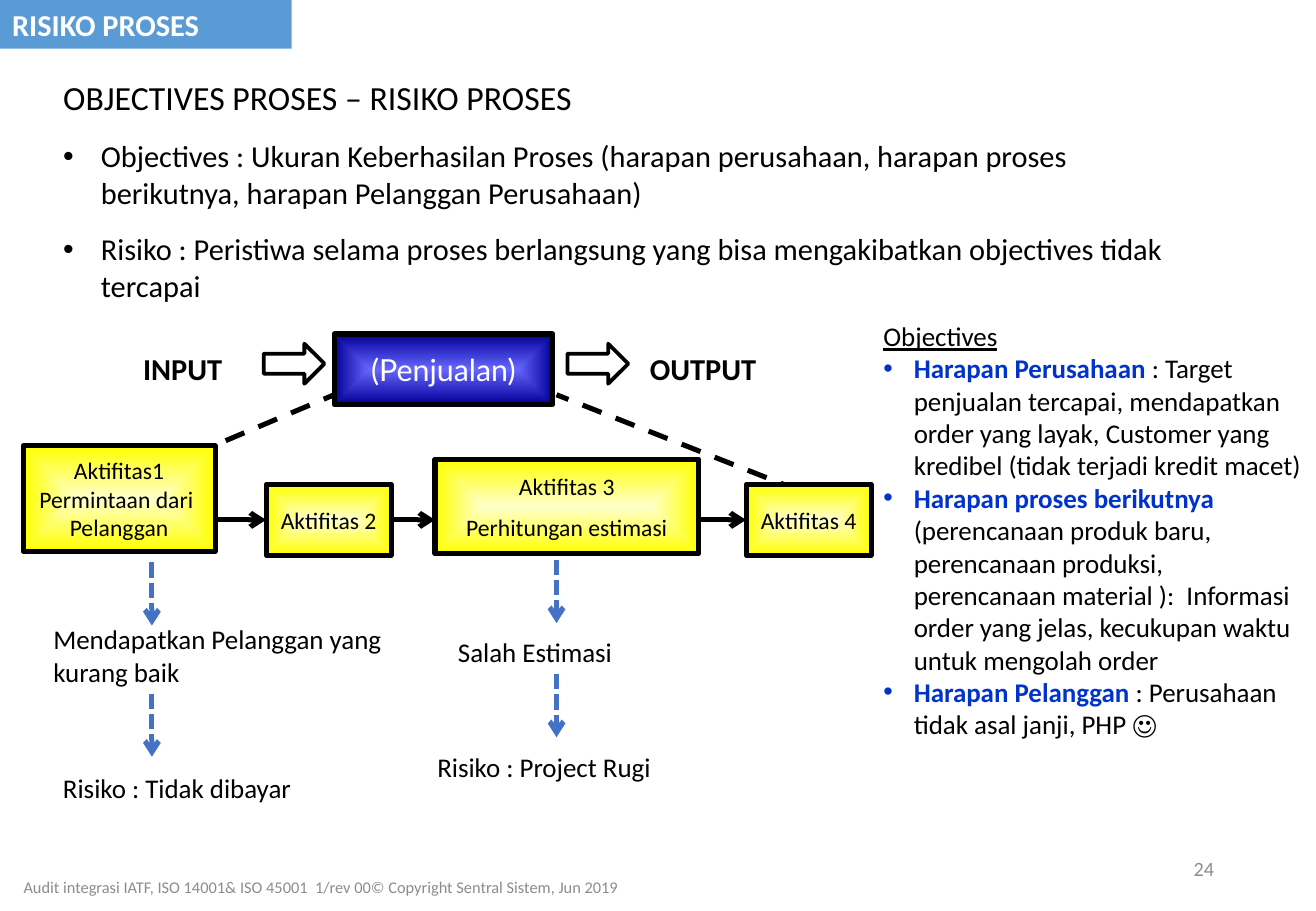
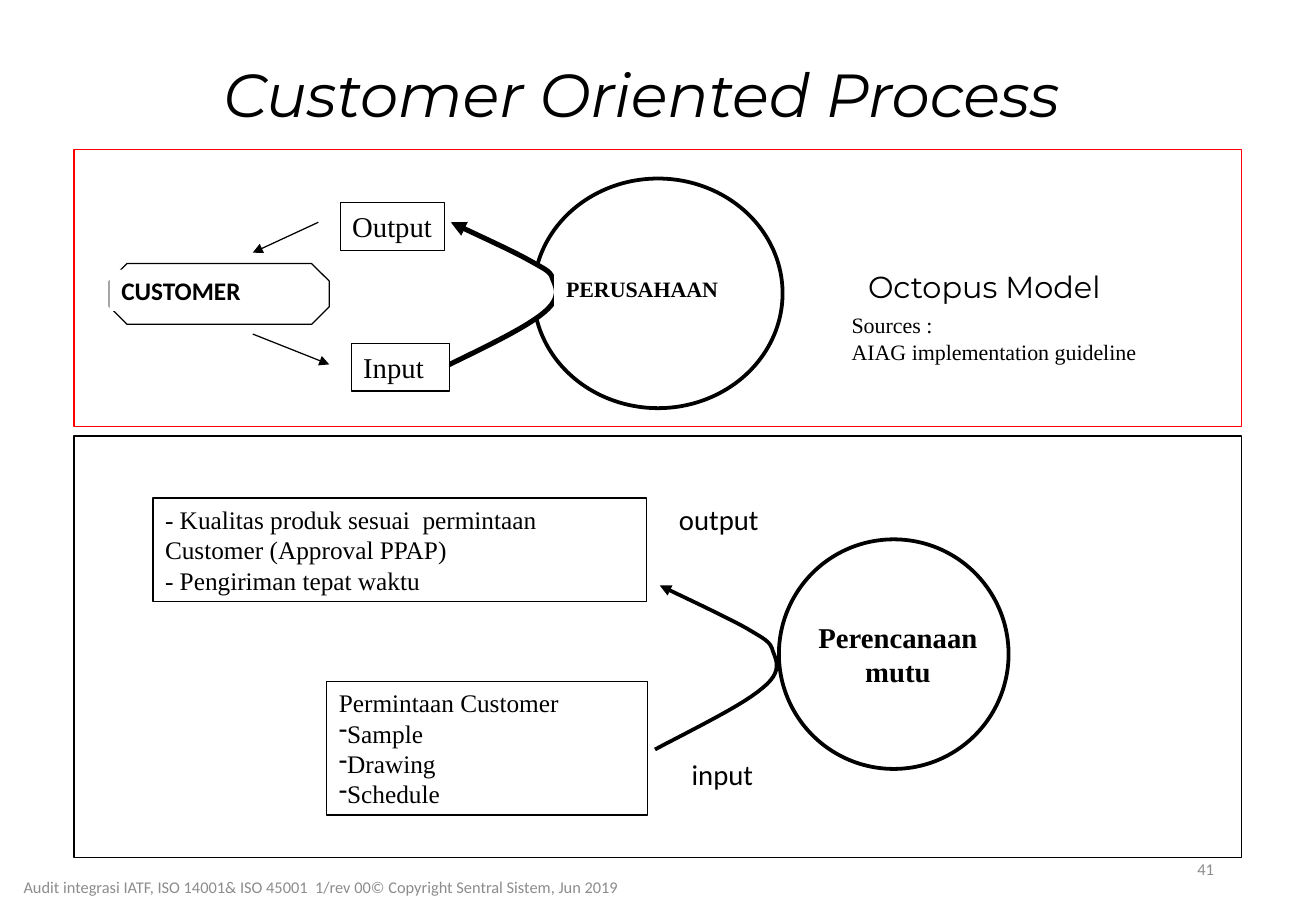
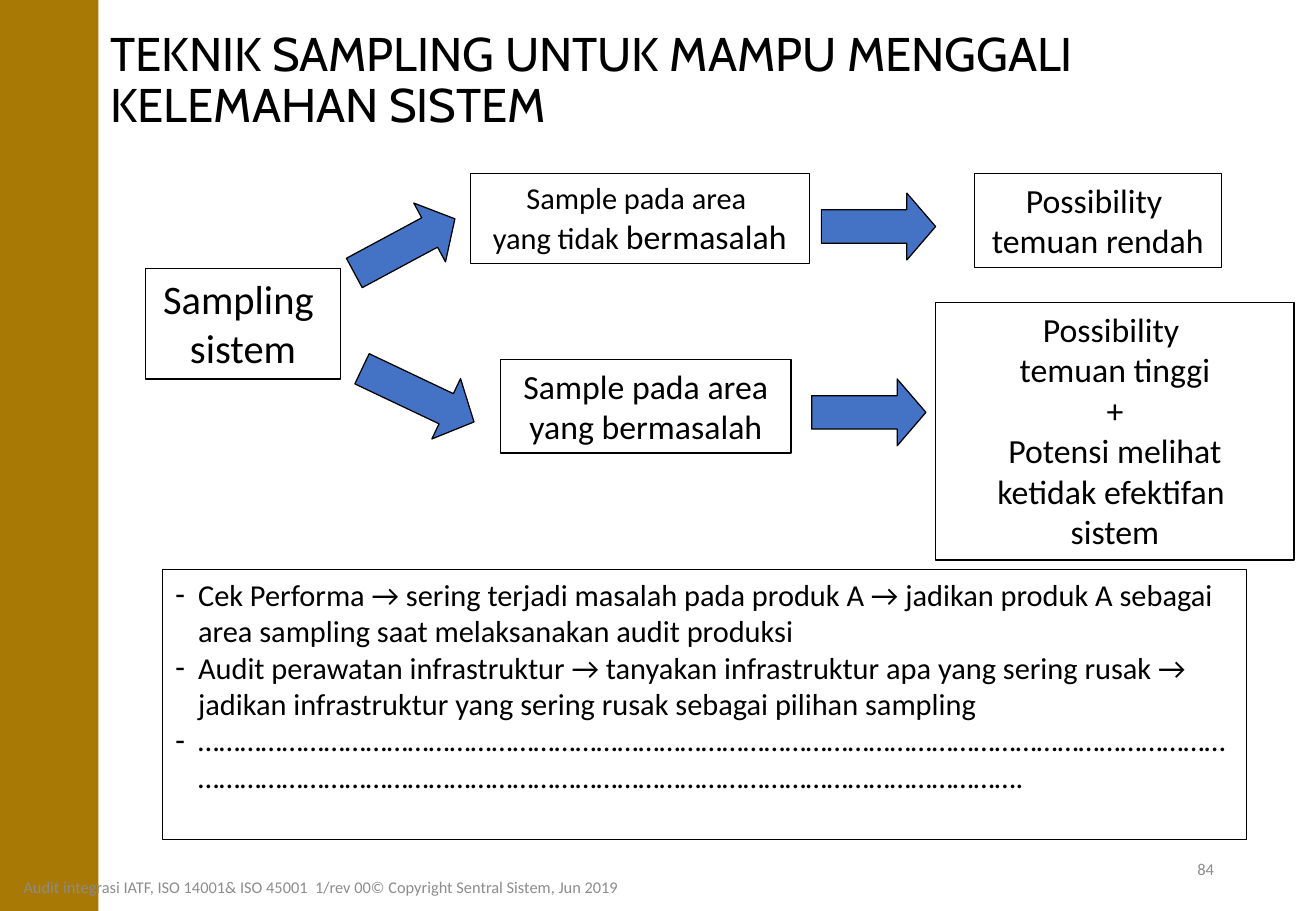
"""Build three audit training slides: process risk, customer oriented process, sampling."""
import pptx
import pptx.util
import pptx.dml.color
import pptx.enum.dml
import pptx.enum.shapes
import pptx.enum.text
import pptx.oxml
import pptx.oxml.ns

Inches, Pt = pptx.util.Inches, pptx.util.Pt
SHAPE = pptx.enum.shapes.MSO_SHAPE
DASH = pptx.enum.dml.MSO_LINE
ANCHOR = pptx.enum.text.MSO_ANCHOR
ALIGN = pptx.enum.text.PP_ALIGN
qn = pptx.oxml.ns.qn

SLIDE_W, SLIDE_H = 10.83, 7.5
COLORS = {
    "black": "000000", "white": "FFFFFF", "grey": "8C8C8C", "red": "FF0000",
    "tab": "5B9BD5", "blue": "4472C4", "term": "0033CC", "band": "A87904",
    "violet": "6666FF", "navy": "000099", "cream": "FFFFCC", "yellow": "FFFF00",
}
SERIF = "Times New Roman"
FOOTER = "Audit integrasi IATF, ISO 14001& ISO 45001  1/rev 00© Copyright Sentral Sistem, Jun 2019"
CENTERED = {"align": ALIGN.CENTER, "wrap": False}
TERM = {"bold": True, "color": "term"}


def para(*runs, **fmt):
    """Pair the runs of a paragraph with its own format."""
    return runs, fmt


OBJECTIVES = [
    para("OBJECTIVES PROSES – RISIKO PROSES", size=20),
    para("Objectives : Ukuran Keberhasilan Proses (harapan perusahaan, harapan proses "
         "berikutnya, harapan Pelanggan Perusahaan)", bullet="•", indent=0.31, before=6),
    para("Risiko : Peristiwa selama proses berlangsung yang bisa mengakibatkan objectives "
         "tidak tercapai", bullet="•", indent=0.31, before=6),
]
EXPECTATIONS = [para(("Objectives", {"underline": True}), indent=0.25)] + [
    para((term, TERM), meaning, bullet="•", indent=0.25) for term, meaning in [
        ("Harapan Perusahaan ", ": Target penjualan tercapai, mendapatkan order yang layak, "
         "Customer yang kredibel (tidak terjadi kredit macet)"),
        ("Harapan proses berikutnya ", "(perencanaan produk baru, perencanaan produksi, "
         "perencanaan material ):  Informasi order yang jelas, kecukupan waktu untuk "
         "mengolah order"),
        ("Harapan Pelanggan ", ": Perusahaan tidak asal janji, PHP ☺"),
    ]]
FLOW_Y = 4.28
ACTIVITIES = [
    ((0.19, 3.67, 1.58, 0.87), ["Aktifitas1", "Permintaan dari ", "Pelanggan"]),
    ((2.19, FLOW_Y - 0.29, 1.03, 0.58), ["Aktifitas 2"]),
    ((3.58, 3.78, 2.17, 0.78), ["Aktifitas 3", para("Perhitungan estimasi", before=7)]),
    ((6.14, FLOW_Y - 0.29, 1.03, 0.58), ["Aktifitas 4"]),
]
RISKS = [
    ((0.34, 5.08, 3.08, 0.64), "Mendapatkan Pelanggan yang kurang baik"),
    ((0.42, 6.3, 2.6, 0.37), "Risiko : Tidak dibayar"),
    ((3.67, 5.18, 1.75, 0.37), "Salah Estimasi"),
    ((3.5, 6.13, 2.22, 0.37), "Risiko : Project Rugi"),
]
RISK_ARROWS = [(1.25, 4.63), (1.25, 5.71), (4.58, 4.61), (4.58, 5.55)]

LABELS = [
    ((2.89, 2.83, 0.81, 0.39), "black", ["Input"], {"size": 17, "font": SERIF}),
    ((2.8, 1.67, 0.86, 0.39), "black", ["Output"],
     {"size": 17, "font": SERIF, "wrap": False}),
    ((4.56, 2.22, 1.44, 0.31), None, ["PERUSAHAAN"],
     {"size": 13, "font": SERIF, "bold": True, "wrap": False}),
    ((6.91, 2.52, 2.54, 0.53), None, ["Sources :", "AIAG implementation guideline"],
     {"size": 13, "font": SERIF, "wrap": False}),
    ((6.99, 2.16, 2.22, 0.34), None, ["Octopus Model"],
     {"size": 18, "font": "Montserrat", **CENTERED}),
    ((0.9, 2.22, 1.63, 0.34), None, ["CUSTOMER"], {"size": 15, "bold": True}),
]
PLANNING = [
    ((2.69, 5.61, 2.64, 1.1), "black",
     ["Permintaan Customer"] + [para(item, bullet="-")
                                for item in ("Sample", "Drawing", "Schedule")],
     {"size": 15, "font": SERIF}),
    ((1.26, 4.1, 4.06, 0.85), "black",
     ["- Kualitas produk sesuai  permintaan Customer (Approval PPAP)",
      "- Pengiriman tepat waktu"], {"size": 15, "font": SERIF}),
    ((6.64, 5.05, 1.5, 0.66), None, ["Perencanaan", "mutu"],
     {"size": 17, "font": SERIF, "bold": True, **CENTERED}),
    ((5.42, 4.08, 0.99, 0.38), None, ["output"], {"size": 17, "align": ALIGN.CENTER}),
    ((5.45, 6.18, 0.99, 0.38), None, ["input"], {"size": 17, "align": ALIGN.CENTER}),
]
COMPANY_LOOP = [(3.68, 3.01), (4.01, 2.85), (4.34, 2.69), (4.48, 2.57), (4.62, 2.45),
                (4.58, 2.37), (4.55, 2.3), (4.53, 2.23), (4.49, 2.22), (4.35, 2.14),
                (4.21, 2.06), (3.83, 1.89), (3.71, 1.83)]
PLANNING_LOOP = [(5.39, 6.17), (5.75, 5.98), (6.12, 5.8), (6.28, 5.66), (6.44, 5.53),
                 (6.39, 5.44), (6.36, 5.36), (6.34, 5.28), (6.29, 5.26), (6.14, 5.17),
                 (5.98, 5.08), (5.55, 4.88), (5.43, 4.82)]

SAMPLING = [
    ((1.2, 2.21, 1.6, 0.91), ["Sampling ", "sistem"], 24, False),
    ((3.87, 1.43, 2.79, 0.74),
     ["Sample pada area ", para("yang tidak ", ("bermasalah", {"size": 20}))], 18, False),
    ((4.12, 2.96, 2.39, 0.77), ["Sample pada area", "yang bermasalah"], 20, False),
    ((8.02, 1.43, 2.03, 0.77), ["Possibility ", "temuan rendah"], 20, False),
    ((7.7, 2.49, 2.95, 2.12),
     ["Possibility ", "temuan tinggi", "+", "Potensi melihat", "ketidak efektifan ",
      "sistem"], 20, True),
]
SAMPLING_ARROWS = [
    ((6.68, 3.12, 0.94, 0.55), 0, 0.43), ((6.76, 1.59, 0.94, 0.55), 0, 0.43),
    ((2.86, 1.75, 0.94, 0.55), 331.7, 0.43), ((2.93, 2.98, 1.02, 0.55), 25.4, 0.46),
]
CHECKS = [para(check, bullet="-", indent=0.19) for check in (
    "Cek Performa → sering terjadi masalah pada produk A → jadikan produk A sebagai area "
    "sampling saat melaksanakan audit produksi",
    "Audit perawatan infrastruktur → tanyakan infrastruktur apa yang sering rusak → jadikan "
    "infrastruktur yang sering rusak sebagai pilihan sampling",
    "…" * 88 + ".")]


def rgb(name):
    """Return the named colour."""
    return pptx.dml.color.RGBColor.from_string(COLORS[name])


def xml(tag, **attributes):
    """Return a drawing element with attributes."""
    element = pptx.oxml.parse_xml(f"<a:{tag} {pptx.oxml.ns.nsdecls('a')}/>")
    for key, value in attributes.items():
        element.set(key, str(value))
    return element


def write(shape, paragraphs, anchor=ANCHOR.TOP, wrap=True, **base):
    """Fill a shape with formatted paragraphs."""
    frame = shape.text_frame
    for key, value in {"word_wrap": wrap, "vertical_anchor": anchor,
                       "auto_size": pptx.enum.text.MSO_AUTO_SIZE.NONE}.items():
        setattr(frame, key, value)
    for number, item in enumerate(paragraphs):
        runs, own = para(item) if isinstance(item, str) else item
        fmt = {"size": 16, "font": "Calibri", "color": "black", "bold": False,
               "italic": False, "underline": False, "align": ALIGN.LEFT, "indent": 0,
               "before": 0, "after": 0, "spacing": 1, **base, **own}
        paragraph = frame.paragraphs[0] if number == 0 else frame.add_paragraph()
        properties = paragraph._p.get_or_add_pPr()
        properties.set("marL", str(Inches(fmt["indent"])))
        properties.set("indent", str(-Inches(fmt["indent"])))
        bullet = fmt.get("bullet")
        properties.append(xml("buChar", char=bullet) if bullet else xml("buNone"))
        for key, value in {"alignment": fmt["align"], "space_before": Pt(fmt["before"]),
                           "space_after": Pt(fmt["after"]),
                           "line_spacing": fmt["spacing"]}.items():
            setattr(paragraph, key, value)
        for part in runs:
            text, change = (part, {}) if isinstance(part, str) else part
            look = {**fmt, **change}
            run = paragraph.add_run()
            run.text = text
            for key, value in {"name": look["font"], "size": Pt(look["size"]),
                               "bold": look["bold"], "italic": look["italic"],
                               "underline": look["underline"]}.items():
                setattr(run.font, key, value)
            run.font.color.rgb = rgb(look["color"])


def paint(shape, fill=None, line=None, width=0.75):
    """Set fill and outline of a shape, a pair of colours making a gradient."""
    if isinstance(fill, tuple):
        shape.fill.gradient()
        for stop, name in zip(shape.fill.gradient_stops, fill):
            stop.color.rgb = rgb(name)
        gradient = shape._element.spPr.find(qn("a:gradFill"))
        gradient.remove(gradient.find(qn("a:lin")))
        focus = xml("path", path="shape")
        focus.append(xml("fillToRect", l=50000, t=50000, r=50000, b=50000))
        gradient.append(focus)
    elif fill:
        shape.fill.solid()
        shape.fill.fore_color.rgb = rgb(fill)
    else:
        shape.fill.background()
    if line:
        shape.line.color.rgb = rgb(line)
        shape.line.width = Pt(width)
    else:
        shape.line.fill.background()


def block(slide, at, kind=SHAPE.RECTANGLE, adjust=(), **look):
    """Add a preset shape without shadow."""
    shape = slide.shapes.add_shape(kind, *map(Inches, at))
    shape.shadow.inherit = False
    for index, value in enumerate(adjust):
        shape.adjustments[index] = value
    paint(shape, **look)
    return shape


def label(slide, at, paragraphs, **fmt):
    """Add a plain text box."""
    write(slide.shapes.add_textbox(*map(Inches, at)), paragraphs, **fmt)


def place(placeholder, at, paragraphs, **fmt):
    """Move a placeholder and fill it with text."""
    for side, value in zip(("left", "top", "width", "height"), at):
        setattr(placeholder, side, Inches(value))
    write(placeholder, paragraphs, **fmt)


def connect(slide, start, end, color="black", width=3, dash=None, head=None):
    """Add a straight connector, dashed or with an arrowhead if asked."""
    line = slide.shapes.add_connector(pptx.enum.shapes.MSO_CONNECTOR.STRAIGHT,
                                      *map(Inches, (*start, *end)))
    line.line.color.rgb = rgb(color)
    line.line.width = Pt(width)
    if dash:
        line.line.dash_style = dash
    if head:
        line.line._get_or_add_ln().append(xml("tailEnd", type=head))
    line._element.spPr.append(xml("effectLst"))
    return line


def loop(slide, points, width, steps=12):
    """Add an open curved arrow through a chain of cubic segments."""
    trace = [points[0]]
    for first in range(0, len(points) - 1, 3):
        for t in (step / steps for step in range(1, steps + 1)):
            weights = ((1 - t) ** 3, 3 * t * (1 - t) ** 2, 3 * t * t * (1 - t), t ** 3)
            trace.append(tuple(sum(w * point[axis] for w, point in
                                   zip(weights, points[first:first + 4]))
                               for axis in (0, 1)))
    trace = [(Inches(x), Inches(y)) for x, y in trace]
    builder = slide.shapes.build_freeform(*trace[0], scale=1.0)
    builder.add_line_segments(trace[1:], close=False)
    curve = builder.convert_to_shape()
    curve.shadow.inherit = False
    paint(curve, "white", "black", width)
    curve.line._get_or_add_ln().append(xml("tailEnd", type="triangle"))


def footer(slide, page, size=9.8):
    """Add the copyright line and page number."""
    shared = {"color": "grey", "anchor": ANCHOR.MIDDLE}
    label(slide, (0.03, 7.1, 5.23, 0.4), [FOOTER], size=9.7, **CENTERED, **shared)
    label(slide, (7.65, 6.95, 2.44, 0.4), [page], size=size, align=ALIGN.RIGHT, **shared)


def risk_slide(slide):
    """Draw the process risk flow."""
    title, objectives, expectations = slide.placeholders
    place(title, (0, 0, 2.4, 0.4), ["RISIKO PROSES"], size=18, bold=True, color="white")
    paint(title, "tab")
    place(objectives, (0.42, 0.58, 9.5, 2), OBJECTIVES, size=18, after=6)
    place(expectations, (7.17, 2.58, 3.67, 4.41), EXPECTATIONS)
    process = block(slide, (2.75, 2.75, 1.8, 0.58), fill=("violet", "navy"),
                    line="black", width=3)
    write(process, ["(Penjualan)"], size=18, font="Lato", color="white",
          anchor=ANCHOR.MIDDLE, **CENTERED)
    connect(slide, (1.05, 3.97), (2.75, 3.25), dash=DASH.DASH)
    connect(slide, (6.58, 4.04), (4.58, 3.25), dash=DASH.DASH)
    boxes = []
    for at, text in ACTIVITIES:
        boxes.append(block(slide, at, fill=("cream", "yellow"), line="black", width=3))
        write(boxes[-1], text, size=14, anchor=ANCHOR.MIDDLE, **CENTERED)
    for index in range(len(boxes) - 1):
        (left, _, width, _), _ = ACTIVITIES[index]
        flow = connect(slide, (left + width, FLOW_Y),
                       (ACTIVITIES[index + 1][0][0], FLOW_Y), head="arrow")
        if index == 1:
            flow.begin_connect(boxes[index], 3)
        else:
            flow.end_connect(boxes[index + 1], 1)
    for at, text in RISKS:
        label(slide, at, [text])
    for x, y in RISK_ARROWS:
        connect(slide, (x, y), (x, y + 0.52), "blue", dash=DASH.SQUARE_DOT, head="arrow")
    for x in (2.17, 4.67):
        block(slide, (x, 2.83, 0.5, 0.33), SHAPE.RIGHT_ARROW, line="black", width=2.25)
    for x, width, text in ((1.08, 0.96, "INPUT"), (5.25, 1.24, "OUTPUT")):
        label(slide, (x, 2.83, width, 0.4), [text], size=18, bold=True)
    footer(slide, "24", size=12)


def customer_slide(slide):
    """Draw the octopus model and its planning example."""
    place(slide.shapes.title, (1.28, 0.42, 8, 0.75), ["Customer Oriented Process"],
          size=36, font="Montserrat", italic=True, align=ALIGN.CENTER)

    def labels(rows):
        """Add the framed and plain labels."""
        for at, line, text, fmt in rows:
            write(block(slide, at, fill="white", line=line), text, **fmt)

    block(slide, (0.61, 1.23, 9.61, 2.28), fill="white", line="red")
    block(slide, (0.9, 2.17, 1.81, 0.5), SHAPE.OCTAGON, (0.29,), fill="white", line="black")
    block(slide, (4.39, 1.47, 2.05, 1.89), SHAPE.OVAL, fill="white", line="black", width=2.25)
    loop(slide, COMPANY_LOOP, 3)
    labels(LABELS)
    for start, end in (((2.08, 2.75), (2.71, 3)), ((2.62, 1.83), (2.08, 2.08))):
        connect(slide, start, end, width=0.75, head="triangle")
    block(slide, (0.61, 3.59, 9.61, 3.47), fill="white", line="black")
    block(slide, (6.41, 4.44, 1.89, 1.89), SHAPE.OVAL, fill="white", line="black", width=2.25)
    labels(PLANNING)
    loop(slide, PLANNING_LOOP, 2.25)
    footer(slide, "41")


def sampling_slide(slide):
    """Draw the sampling choices and the checks."""
    title, checks = slide.placeholders
    place(title, (0.81, 0.05, 9.75, 1.25),
          ["TEKNIK SAMPLING UNTUK MAMPU MENGGALI KELEMAHAN SISTEM"],
          size=28, font="Cabin", spacing=0.9, anchor=ANCHOR.MIDDLE)
    place(checks, (1.34, 4.69, 8.92, 2.22), CHECKS, size=18)
    paint(checks, line="black")
    for at, text, size, wrap in SAMPLING:
        write(block(slide, at, line="black"), text, size=size, wrap=wrap, align=ALIGN.CENTER)
    for at, angle, head in SAMPLING_ARROWS:
        arrow = block(slide, at, SHAPE.RIGHT_ARROW, (0.5, head), fill="blue", line="black")
        arrow.rotation = angle
    block(slide, (0, 0, 0.81, SLIDE_H), fill="band")
    footer(slide, "84")


def main():
    """Build and save the slides."""
    deck = pptx.Presentation()
    deck.slide_width, deck.slide_height = Inches(SLIDE_W), Inches(SLIDE_H)
    for layout, build in ((3, risk_slide), (5, customer_slide), (1, sampling_slide)):
        build(deck.slides.add_slide(deck.slide_layouts[layout]))
    deck.save("out.pptx")


if __name__ == "__main__":
    main()
